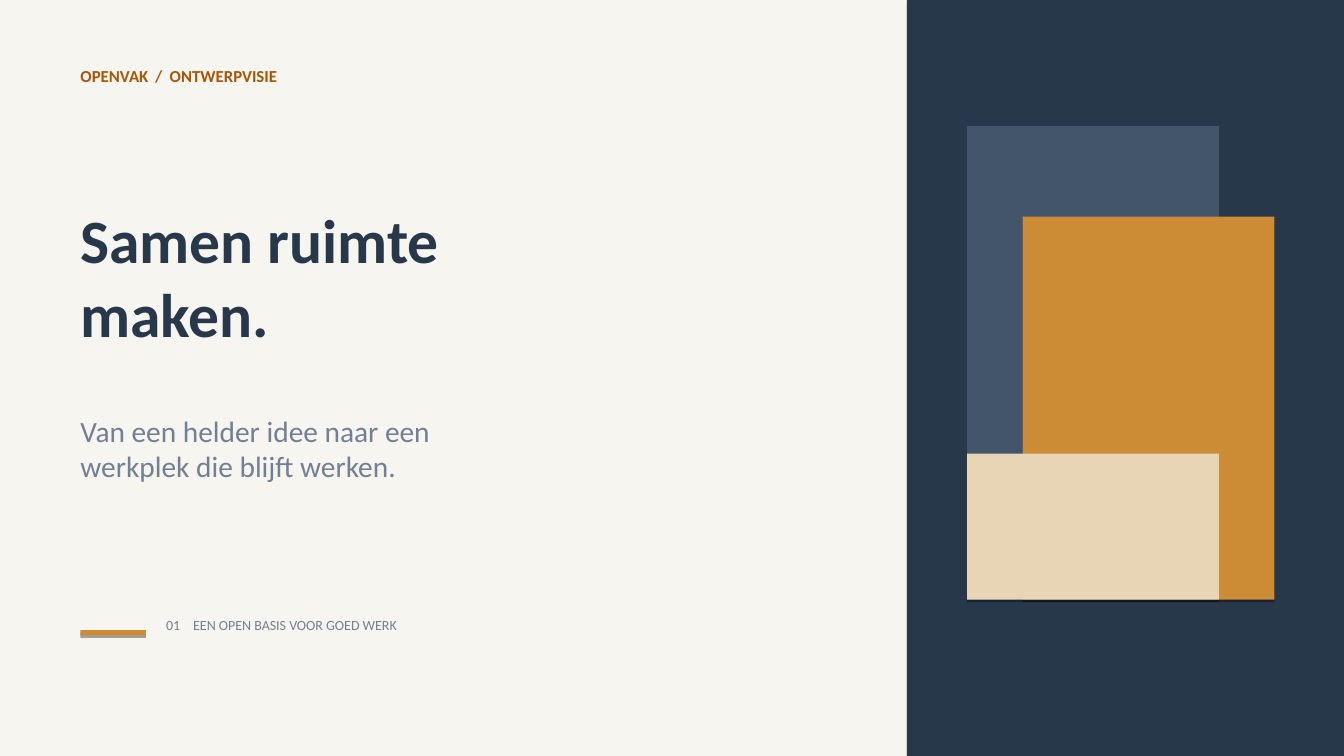
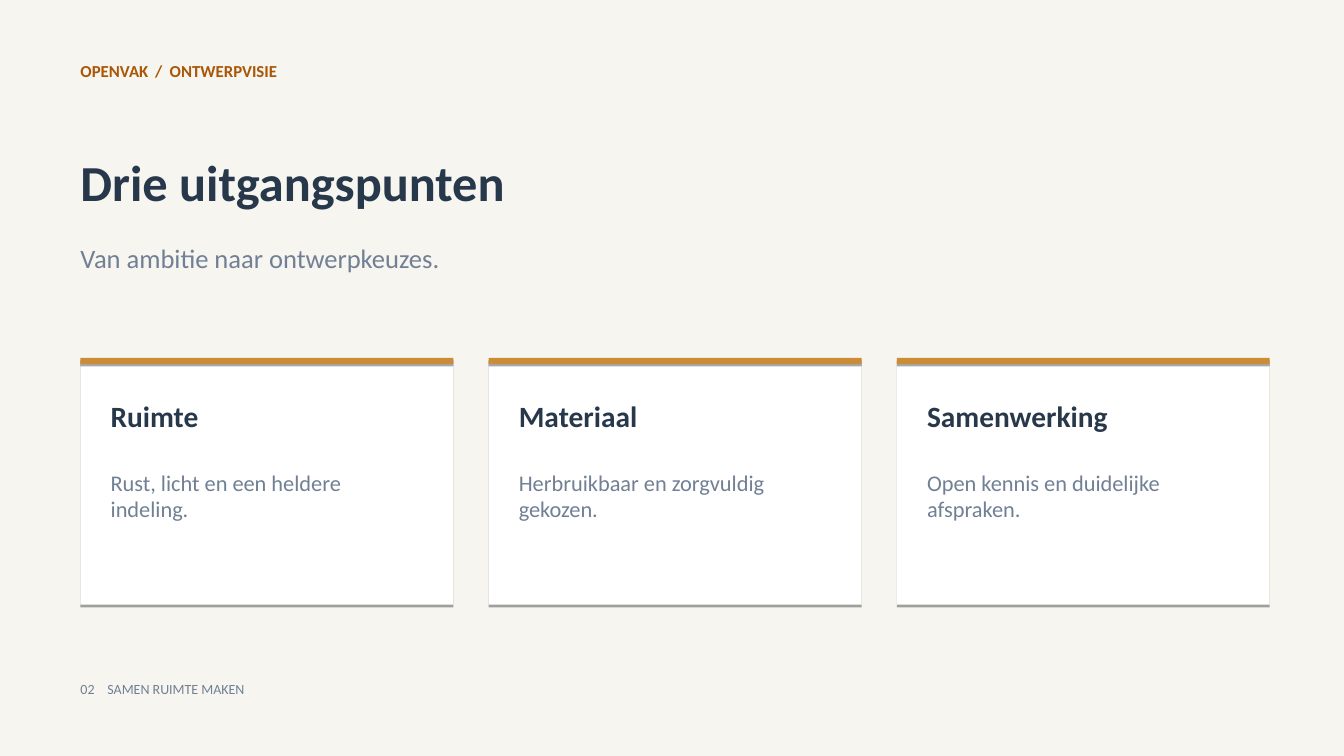
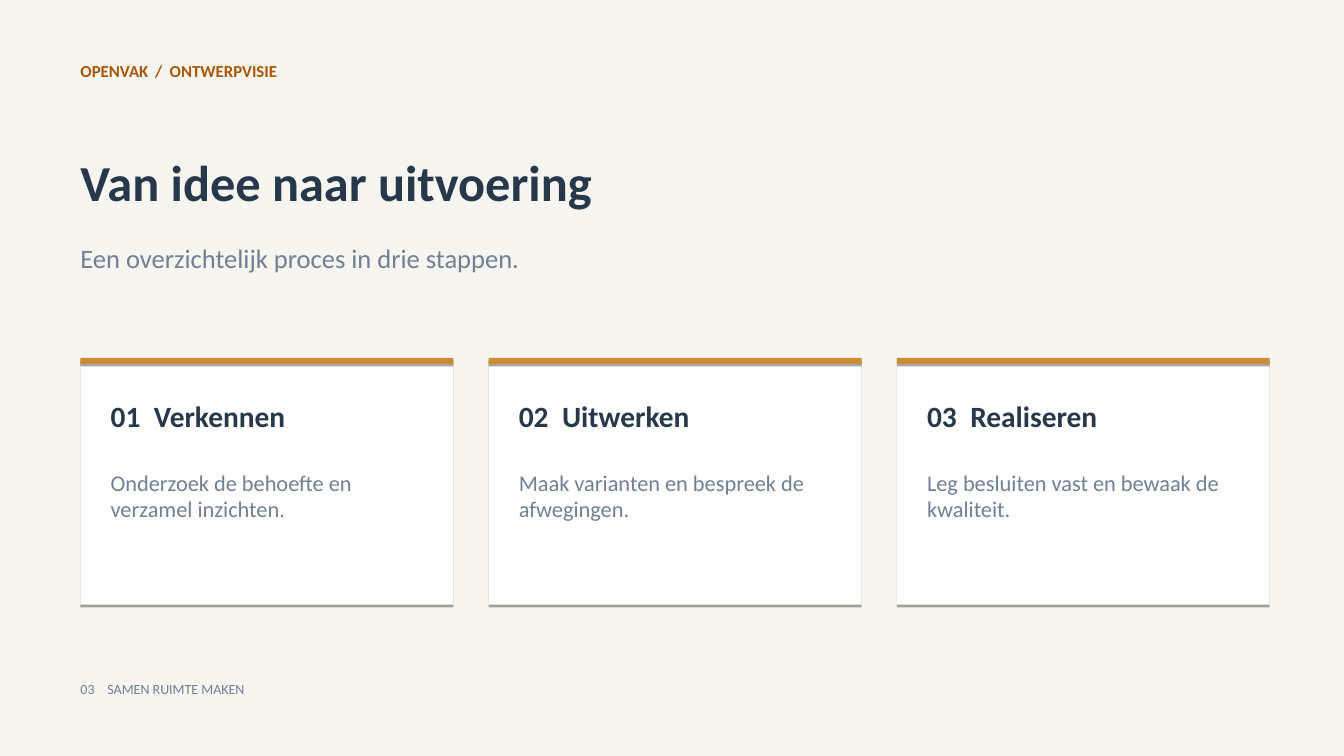
from lxml.etree import SubElement
from pptx import Presentation
from pptx.dml.color import RGBColor
from pptx.enum.shapes import MSO_SHAPE
from pptx.enum.text import MSO_AUTO_SIZE
from pptx.oxml.ns import qn
from pptx.util import Cm, Pt

COLORS = {
    "paper": "F7F5F0",
    "white": "FFFFFF",
    "navy": "28384B",
    "slate": "42556A",
    "grey": "718094",
    "ochre": "CC8B35",
    "sand": "E8D5B5",
    "rust": "A95606",
    "shadow": "000000",
}
FONT = "Calibri"
SLIDE_WIDTH, SLIDE_HEIGHT = 33.88, 19.05
MARGIN = 2.03
KICKER = "OPENVAK\t/\tONTWERPVISIE"

CARD_TOP, CARD_WIDTH, CARD_HEIGHT, CARD_GAP = 9.02, 9.4, 6.22, 0.89
CARD_PADDING = 0.76


def color(name):
    return RGBColor.from_string(COLORS[name])


def add_slide(presentation):
    slide = presentation.slides.add_slide(presentation.slide_layouts[6])
    slide.background.fill.solid()
    slide.background.fill.fore_color.rgb = color("paper")
    return slide


def add_hard_shadow(shape):
    """Give the shape a sharp shadow straight below it."""
    shape.shadow.inherit = False
    effects = shape._element.spPr.find(qn("a:effectLst"))
    shadow = SubElement(effects, qn("a:outerShdw"), blurRad="0",
                        dist=str(Pt(1.8)), dir="5400000", rotWithShape="0")
    shade = SubElement(shadow, qn("a:srgbClr"), val=COLORS["shadow"])
    SubElement(shade, qn("a:alpha"), val="35000")


def add_block(slide, left, top, width, height, fill):
    shape = slide.shapes.add_shape(
        MSO_SHAPE.RECTANGLE, Cm(left), Cm(top), Cm(width), Cm(height))
    shape.fill.solid()
    shape.fill.fore_color.rgb = color(fill)
    shape.line.fill.background()
    add_hard_shadow(shape)


def add_text(slide, text, left, top, width, height, size, ink,
             bold=False, tabs=()):
    """Add a text box; each line of the text is a paragraph, tabs are in cm."""
    shape = slide.shapes.add_textbox(Cm(left), Cm(top), Cm(width), Cm(height))
    frame = shape.text_frame
    frame.word_wrap = True
    frame.auto_size = MSO_AUTO_SIZE.SHAPE_TO_FIT_TEXT
    frame.margin_left = frame.margin_top = 0
    frame.text = text
    for paragraph in frame.paragraphs:
        if tabs:
            tab_list = SubElement(
                paragraph._p.get_or_add_pPr(), qn("a:tabLst"))
            for position in tabs:
                SubElement(tab_list, qn("a:tab"), pos=str(Cm(position)),
                           algn="l")
        for run in paragraph.runs:
            run.font.name = FONT
            run.font.size = Pt(size)
            run.font.bold = bold
            run.font.color.rgb = color(ink)


def add_kicker(slide, top):
    add_text(slide, KICKER, MARGIN, top, 18, 0.64, 12, "rust", True,
             tabs=(1.88, 2.25))


def add_footer(slide, number, text, left, top):
    add_text(slide, f"{number:02}\t{text}", left, top, 16, 0.56, 10, "grey",
             tabs=(0.68,))


def add_card(slide, left, heading, body):
    add_block(slide, left, CARD_TOP, CARD_WIDTH, CARD_HEIGHT, "white")
    add_block(slide, left, CARD_TOP, CARD_WIDTH, 0.15, "ochre")
    text_left = left + CARD_PADDING
    text_width = CARD_WIDTH - 2 * CARD_PADDING
    add_text(slide, heading, text_left, CARD_TOP + 1.01, text_width, 1.02,
             21, "navy", True, tabs=(1.09,))
    add_text(slide, body, text_left, CARD_TOP + 2.79, text_width, 1.47,
             16, "grey")


def add_cover(presentation):
    slide = add_slide(presentation)
    panel_left = 22.86
    add_block(slide, panel_left, 0, SLIDE_WIDTH - panel_left, SLIDE_HEIGHT,
              "navy")
    block_left, block_width = 24.38, 6.35
    add_block(slide, block_left, 3.18, block_width, 9.65, "slate")
    add_block(slide, block_left + 1.4, 5.46, block_width, 9.65, "ochre")
    add_block(slide, block_left, 11.43, block_width, 3.68, "sand")

    add_kicker(slide, 1.65)
    add_text(slide, "Samen ruimte\nmaken.", MARGIN, 5.08, 19.8, 3.86,
             44, "navy", True)
    add_text(slide, "Van een helder idee naar een\nwerkplek die blijft werken.",
             MARGIN, 10.41, 18.3, 1.9, 21, "grey")
    add_block(slide, MARGIN, 15.88, 1.65, 0.13, "ochre")
    add_footer(slide, 1, "EEN OPEN BASIS VOOR GOED WERK", 4.19, 15.54)


def add_card_slide(presentation, number, title, subtitle, cards):
    slide = add_slide(presentation)
    add_kicker(slide, 1.52)
    add_text(slide, title, MARGIN, 3.81, 27.94, 1.65, 36, "navy", True)
    add_text(slide, subtitle, MARGIN, 6.1, 27.94, 0.94, 19, "grey")
    for index, (heading, body) in enumerate(cards):
        left = MARGIN + index * (CARD_WIDTH + CARD_GAP)
        add_card(slide, left, heading, body)
    add_footer(slide, number, "SAMEN RUIMTE MAKEN", MARGIN, 17.15)


def main():
    presentation = Presentation()
    presentation.slide_width = Cm(SLIDE_WIDTH)
    presentation.slide_height = Cm(SLIDE_HEIGHT)
    add_cover(presentation)
    add_card_slide(
        presentation, 2, "Drie uitgangspunten",
        "Van ambitie naar ontwerpkeuzes.",
        [("Ruimte", "Rust, licht en een heldere indeling."),
         ("Materiaal", "Herbruikbaar en zorgvuldig gekozen."),
         ("Samenwerking", "Open kennis en duidelijke afspraken.")])
    add_card_slide(
        presentation, 3, "Van idee naar uitvoering",
        "Een overzichtelijk proces in drie stappen.",
        [("01\tVerkennen", "Onderzoek de behoefte en verzamel inzichten."),
         ("02\tUitwerken", "Maak varianten en bespreek de afwegingen."),
         ("03\tRealiseren", "Leg besluiten vast en bewaak de kwaliteit.")])
    presentation.save("out.pptx")


if __name__ == "__main__":
    main()
